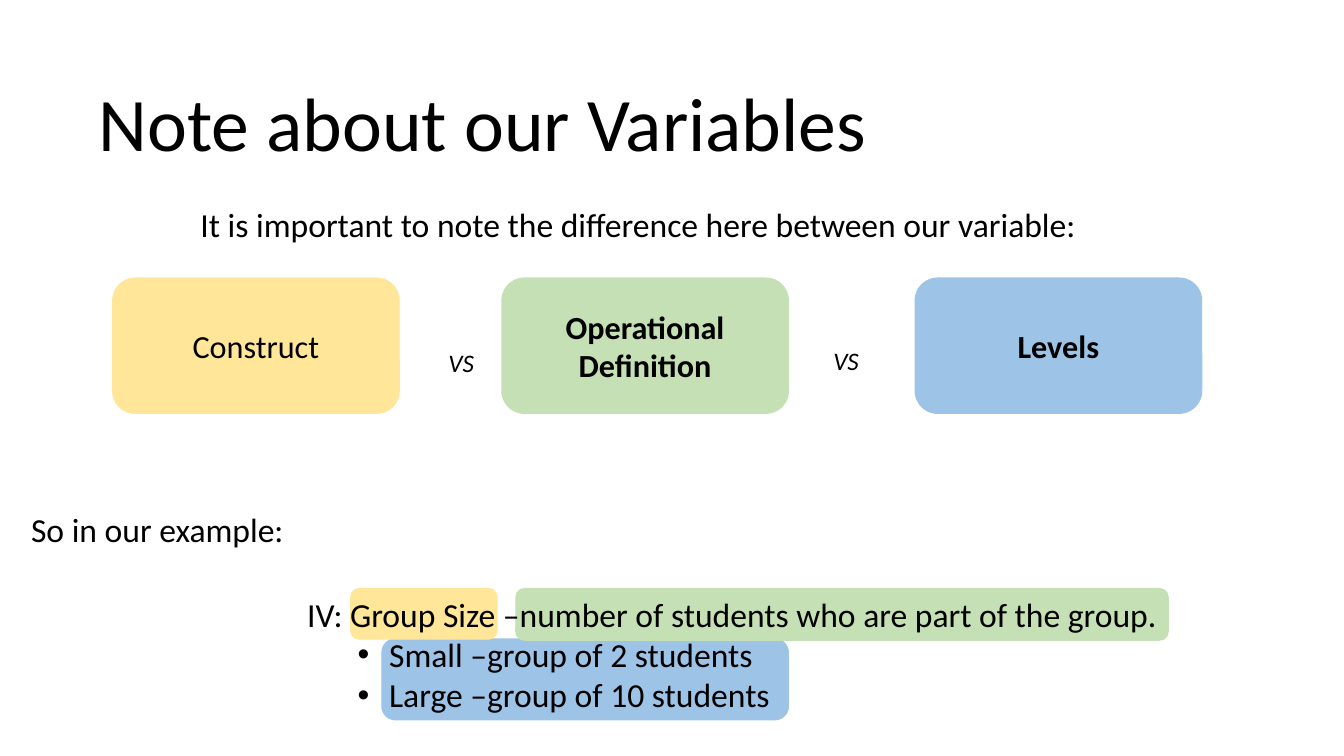
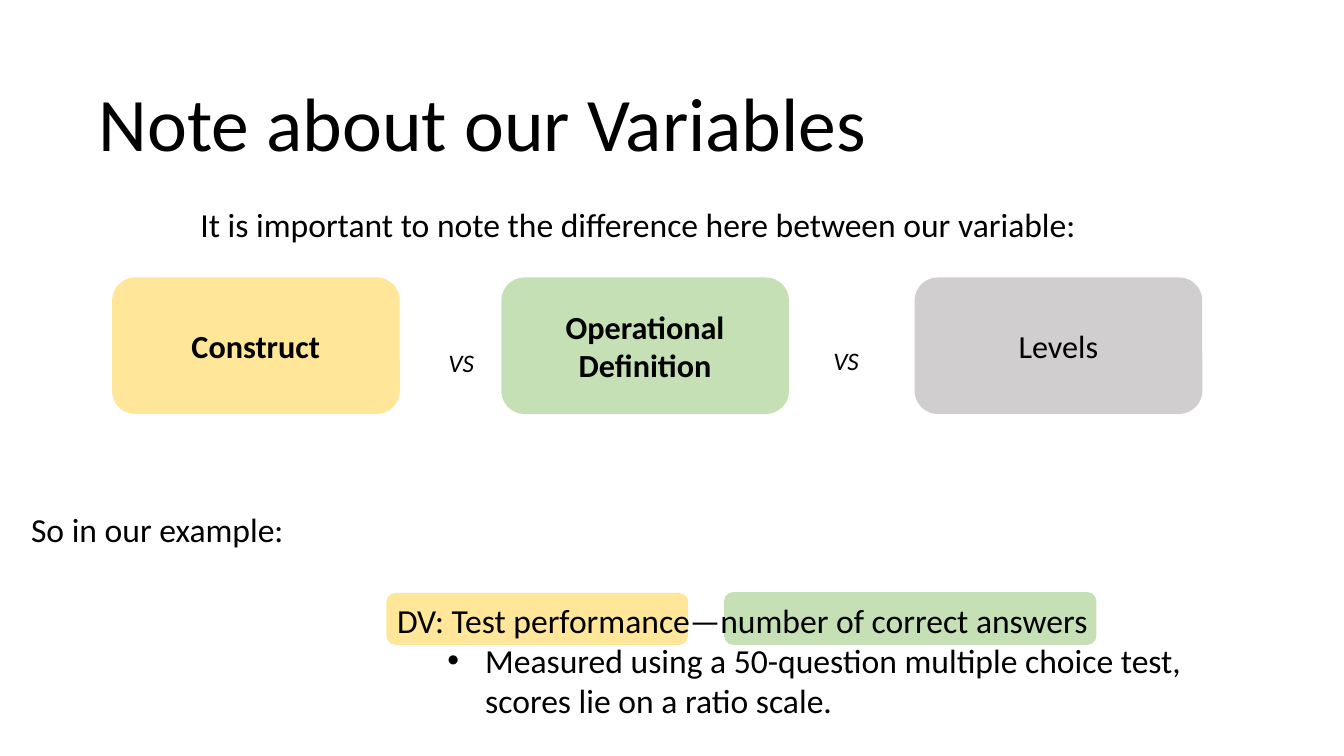
from lxml.etree import SubElement
from pptx import Presentation
from pptx.dml.color import RGBColor
from pptx.enum.shapes import MSO_SHAPE
from pptx.enum.text import MSO_ANCHOR, PP_ALIGN
from pptx.oxml.ns import qn
from pptx.util import Pt

FONT = "Calibri"
BLACK = "000000"
YELLOW, GREEN, BLUE, GRAY = "FFE699", "C5E0B4", "9DC3E6", "D0CECE"

TITLE = "Note about our Variables"
INTRO = "It is important to note the difference here between our variable:"
EXAMPLE = "So in our example:"
VERSUS = [(313.2, 244.8, 35.3, 28.8), (588.2, 243.4, 40.3, 28.8)]

TERMS = ["Construct", "Operational Definition", "Levels"]
TERM_LEFTS = [80.6, 358.6, 653.8]
TERM_TOP, TERM_WIDTH, TERM_HEIGHT = 198.7, 204.5, 96.5

SLIDES = [
    {
        "term_styles": [(YELLOW, False), (GREEN, True), (BLUE, True)],
        "highlights": [
            (BLUE, (272.9, 456.5, 290.2, 57.6)),
            (GREEN, (368.6, 420.5, 465.8, 36.7)),
            (YELLOW, (250.6, 420.5, 104.4, 36)),
        ],
        "detail_box": (212.4, 420.5, 740, 94.3),
        "variable": "IV: Group Size –number of students who are part of the group.",
        "bullets": ["Small –group of 2 students", "Large –group of 10 students"],
        "indent": (58.5, 22.5),
    },
    {
        "term_styles": [(YELLOW, True), (GREEN, True), (GRAY, False)],
        "highlights": [
            (GREEN, (517.7, 423.4, 265, 36.7)),
            (YELLOW, (276.5, 424.1, 214.6, 36)),
        ],
        "detail_box": (276.5, 424.8, 596.9, 94.3),
        "variable": "DV: Test performance—number of correct answers",
        "bullets": ["Measured using a 50-question multiple choice test, scores lie on a ratio scale."],
        "indent": (63, 27),
    },
]


def color(value):
    return RGBColor.from_string(value)


def style(paragraph, size, bold=False, italic=False):
    font = paragraph.font
    font.name, font.size, font.bold, font.italic = FONT, Pt(size), bold, italic
    font.color.rgb = color(BLACK)


def add_text(slide, box, lines, size=24, italic=False):
    frame = slide.shapes.add_textbox(*map(Pt, box)).text_frame
    frame.word_wrap = True
    frame.text = "\n".join(lines)
    for paragraph in frame.paragraphs:
        style(paragraph, size, italic=italic)
    return frame


def add_rounded(slide, box, fill):
    shape = slide.shapes.add_shape(MSO_SHAPE.ROUNDED_RECTANGLE, *map(Pt, box))
    shape.shadow.inherit = False
    shape.fill.solid()
    shape.fill.fore_color.rgb = color(fill)
    shape.line.color.rgb = color(fill)
    shape.line.width = Pt(1)
    return shape


def add_bullet(paragraph, margin, hanging):
    paragraph.level = 1
    properties = paragraph._p.get_or_add_pPr()
    properties.set("marL", str(Pt(margin)))
    properties.set("indent", str(-Pt(hanging)))
    bullet_font = SubElement(properties, qn("a:buFont"))
    bullet_font.set("typeface", "Arial")
    SubElement(properties, qn("a:buChar")).set("char", "•")


def add_term(slide, left, text, fill, bold):
    shape = add_rounded(slide, (left, TERM_TOP, TERM_WIDTH, TERM_HEIGHT), fill)
    frame = shape.text_frame
    frame.word_wrap = True
    frame.vertical_anchor = MSO_ANCHOR.MIDDLE
    frame.text = text
    paragraph = frame.paragraphs[0]
    paragraph.alignment = PP_ALIGN.CENTER
    style(paragraph, 23, bold=bold)


def build_slide(presentation, content):
    slide = presentation.slides.add_slide(presentation.slide_layouts[6])
    for fill, box in content["highlights"]:
        add_rounded(slide, box, fill)
    title = add_text(slide, (63.4, 30.2, 727.2, 93.6), [TITLE], 54)
    title.vertical_anchor = MSO_ANCHOR.BOTTOM
    title.paragraphs[0].line_spacing = 0.9
    add_text(slide, (136.1, 141.8, 762.5, 65.5), [INTRO])
    for left, text, (fill, bold) in zip(TERM_LEFTS, TERMS, content["term_styles"]):
        add_term(slide, left, text, fill, bold)
    for box in VERSUS:
        add_text(slide, box, ["VS"], 18, italic=True)
    add_text(slide, (15.1, 360, 197.3, 36), [EXAMPLE])
    detail = add_text(slide, content["detail_box"], [content["variable"], *content["bullets"]])
    for paragraph in detail.paragraphs[1:]:
        add_bullet(paragraph, *content["indent"])


def main():
    presentation = Presentation()
    presentation.slide_width, presentation.slide_height = Pt(960), Pt(540)
    for content in SLIDES:
        build_slide(presentation, content)
    presentation.save("out.pptx")


if __name__ == "__main__":
    main()
